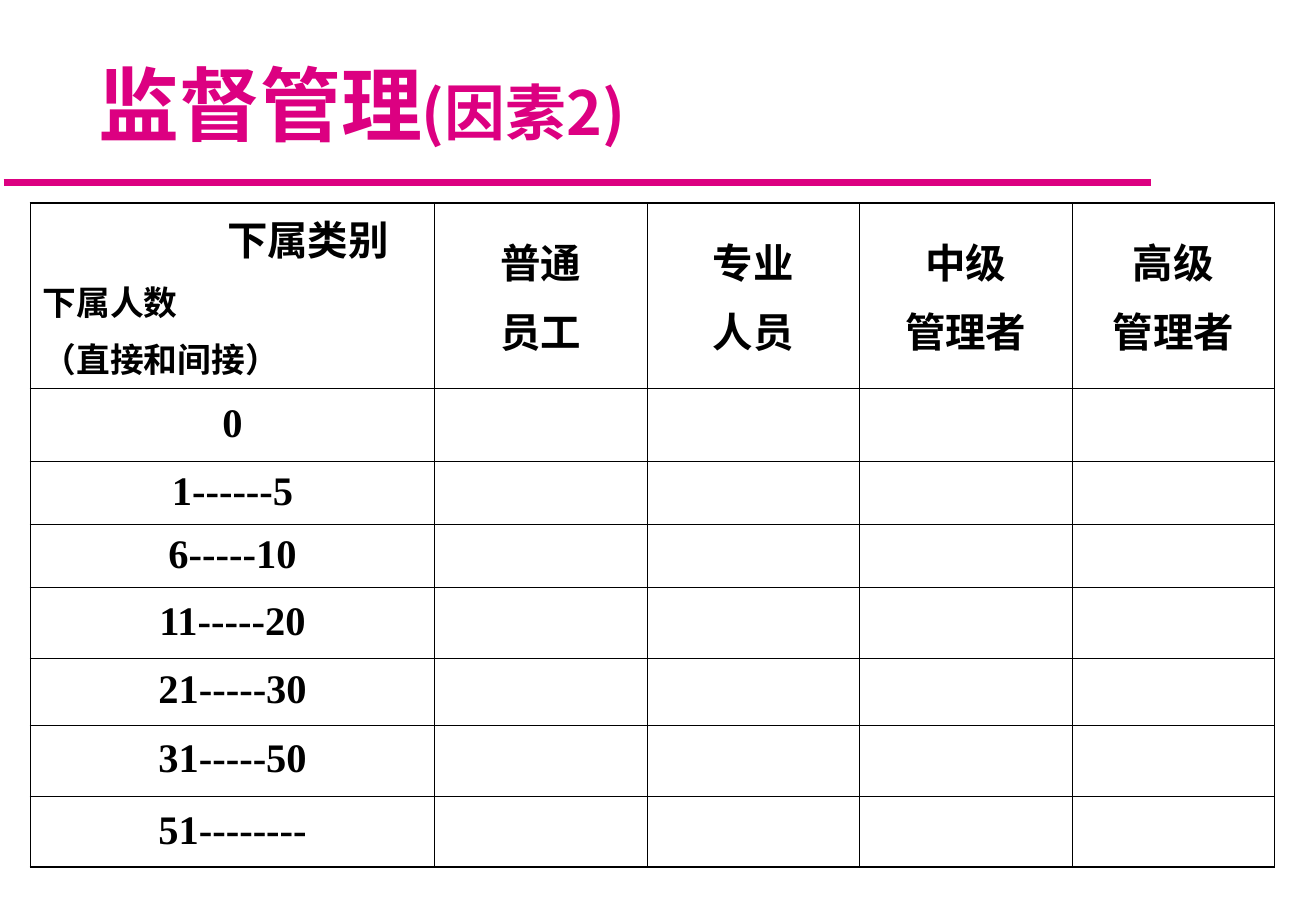
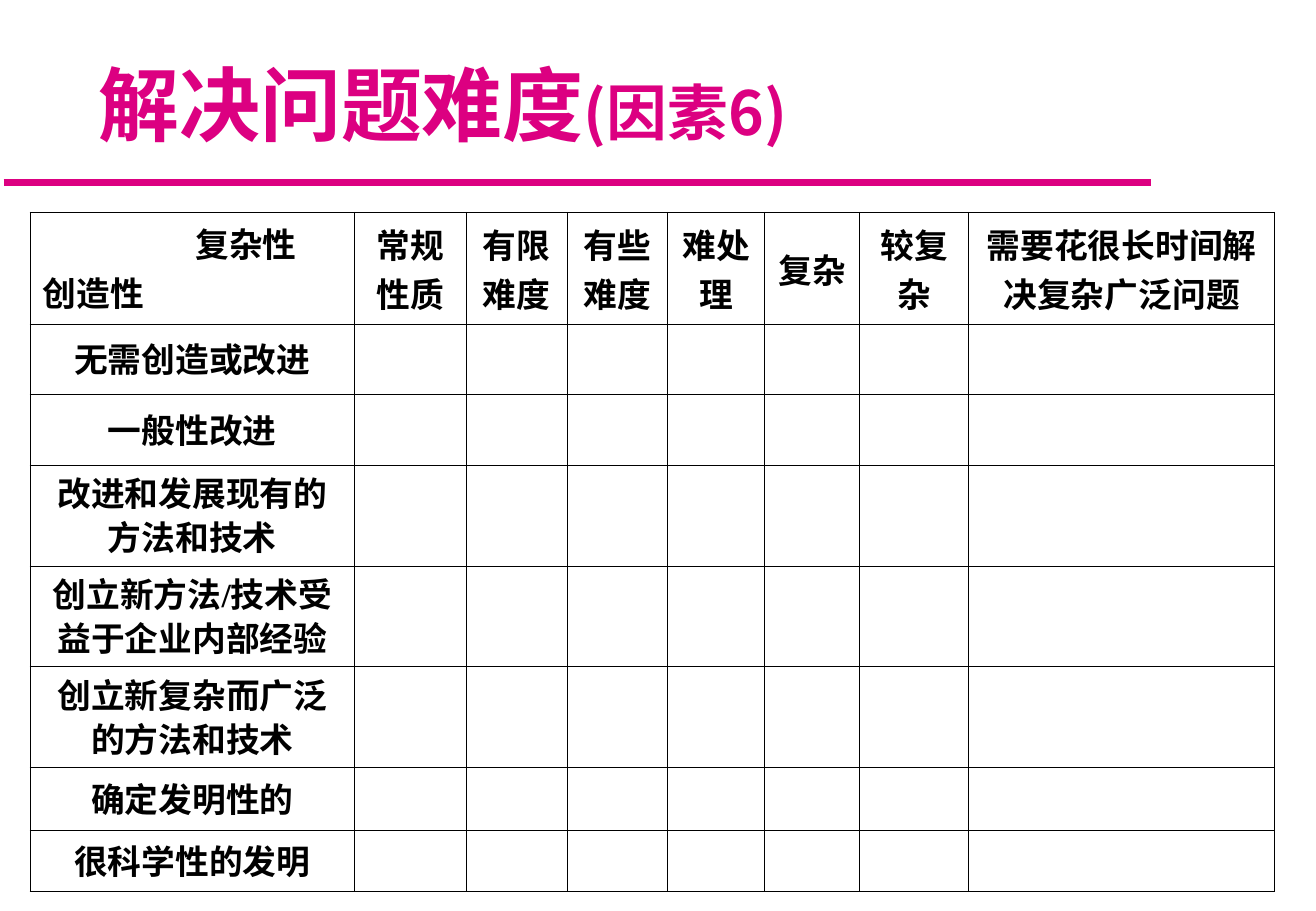
from dataclasses import dataclass

from lxml.etree import SubElement
from pptx import Presentation
from pptx.dml.color import RGBColor
from pptx.enum.shapes import MSO_CONNECTOR
from pptx.enum.text import MSO_ANCHOR, PP_ALIGN
from pptx.oxml.ns import qn
from pptx.util import Inches, Pt


@dataclass(frozen=True)
class Theme:
    pink: str = "DC0081"
    black: str = "000000"
    title: int = 48
    factor: int = 36
    large: int = 24
    small: int = 20
    thin: float = 0.45
    thick: float = 1.08
    rule: int = 4
    sans: str = "Noto Sans CJK SC"
    heavy: str = "Noto Sans CJK JP"
    serif: str = "Times New Roman"


THEME = Theme()


@dataclass(frozen=True)
class Matrix:
    title: str
    factor: str
    top: float
    widths: tuple[float, ...]
    heights: tuple[float, ...]
    corner: str
    indent: float
    heads: tuple[str, ...]
    labels: tuple[str, ...]
    size: int
    corner_gap: int = 0
    head_gap: int = 0


PAGES = (
    Matrix(
        "监督管理", "(因素2)", 1.67,
        (3.33, 1.75, 1.75, 1.75, 1.67),
        (1.53, 0.6, 0.52, 0.52, 0.58, 0.55, 0.59, 0.58),
        "下属类别\n下属人数\n（直接和间接）", 1.52,
        ("普通\n员工", "专业\n人员", "中级\n管理者", "高级\n管理者"),
        ("0", "1------5", "6-----10", "11-----20", "21-----30",
         "31-----50", "51--------"),
        THEME.large, corner_gap=5, head_gap=6,
    ),
    Matrix(
        "解决问题难度", "(因素6)", 1.75,
        (2.67, 0.92, 0.83, 0.83, 0.8, 0.78, 0.9, 2.52),
        (0.92, 0.58, 0.58, 0.83, 0.83, 0.83, 0.52, 0.5),
        "复杂性\n创造性", 1.26,
        ("常规性质", "有限\n难度", "有些\n难度", "难处理", "复杂", "较复杂",
         "需要花很长时间解决复杂广泛问题"),
        ("无需创造或改进", "一般性改进", "改进和发展现有的方法和技术",
         "创立新方法/技术受益于企业内部经验", "创立新复杂而广泛的方法和技术",
         "确定发明性的", "很科学性的发明"),
        THEME.small,
    ),
)


def style(run, size: int, color: str, latin: str, asian: str) -> None:
    font = run.font
    font.size = Pt(size)
    font.bold = True
    font.color.rgb = RGBColor.from_string(color)
    font.name = latin
    SubElement(run._r.get_or_add_rPr(), qn("a:ea"), typeface=asian)


def add_title(slide, page: Matrix) -> None:
    box = slide.shapes.add_textbox(Inches(0.33), Inches(0.25),
                                   Inches(9.83), Inches(1.08))
    frame = box.text_frame
    frame.word_wrap = True
    frame.vertical_anchor = MSO_ANCHOR.BOTTOM
    frame.margin_left = Inches(0.48)
    frame.margin_top = 0
    frame.margin_bottom = Inches(0.08)
    line = frame.paragraphs[0]
    for text, size, face in ((page.title, THEME.title, THEME.heavy),
                             (page.factor, THEME.factor, THEME.sans)):
        run = line.add_run()
        run.text = text
        style(run, size, THEME.pink, face, face)


def add_rule(slide) -> None:
    rule = slide.shapes.add_connector(MSO_CONNECTOR.STRAIGHT, Inches(0.03),
                                      Inches(1.5), Inches(9.48), Inches(1.5))
    rule.line.color.rgb = RGBColor.from_string(THEME.pink)
    rule.line.width = Pt(THEME.rule)
    SubElement(rule._element.spPr, qn("a:effectLst"))


def add_edges(cell, outer: dict[str, bool]) -> None:
    props = cell._tc.get_or_add_tcPr()
    for side, thick in outer.items():
        width = Pt(THEME.thick if thick else THEME.thin)
        edge = SubElement(props, qn(f"a:ln{side}"), w=str(int(width)))
        fill = SubElement(edge, qn("a:solidFill"))
        SubElement(fill, qn("a:srgbClr"), val=THEME.black)
    cell.fill.background()


def fill_cell(cell, text: str, size: int, gap: int = 0) -> None:
    cell.vertical_anchor = MSO_ANCHOR.MIDDLE
    cell.text_frame.text = text
    for index, line in enumerate(cell.text_frame.paragraphs):
        line.alignment = PP_ALIGN.CENTER
        if index and gap:
            line.space_before = Pt(gap)
        for run in line.runs:
            style(run, size, THEME.black, THEME.serif, THEME.sans)


def fill_corner(cell, page: Matrix) -> None:
    fill_cell(cell, page.corner, THEME.small, page.corner_gap)
    cell.vertical_anchor = MSO_ANCHOR.TOP
    lines = cell.text_frame.paragraphs
    for line in lines:
        line.alignment = PP_ALIGN.LEFT
    lines[0].runs[0].font.size = Pt(page.size)
    lines[0]._p.get_or_add_pPr().set("marL", str(int(Inches(page.indent))))


def add_grid(slide, page: Matrix) -> None:
    rows, cols = len(page.heights), len(page.widths)
    grid = slide.shapes.add_table(rows, cols, Inches(0.25), Inches(page.top),
                                  Inches(sum(page.widths)),
                                  Inches(sum(page.heights))).table
    grid.first_row = False
    grid.horz_banding = False
    for col, width in zip(grid.columns, page.widths):
        col.width = Inches(width)
    for row, height in zip(grid.rows, page.heights):
        row.height = Inches(height)
    for r in range(rows):
        for c in range(cols):
            add_edges(grid.cell(r, c), {"L": c == 0, "R": c == cols - 1,
                                        "T": r == 0, "B": r == rows - 1})
    fill_corner(grid.cell(0, 0), page)
    for c, head in enumerate(page.heads, 1):
        fill_cell(grid.cell(0, c), head, page.size, page.head_gap)
    for r, label in enumerate(page.labels, 1):
        cell = grid.cell(r, 0)
        fill_cell(cell, label, page.size)
        cell.text_frame.paragraphs[0].line_spacing = 0.9


def main() -> None:
    deck = Presentation()
    deck.slide_width = Inches(10.84)
    deck.slide_height = Inches(7.5)
    for page in PAGES:
        slide = deck.slides.add_slide(deck.slide_layouts[6])
        add_rule(slide)
        add_title(slide, page)
        add_grid(slide, page)
    deck.save("out.pptx")


if __name__ == "__main__":
    main()
